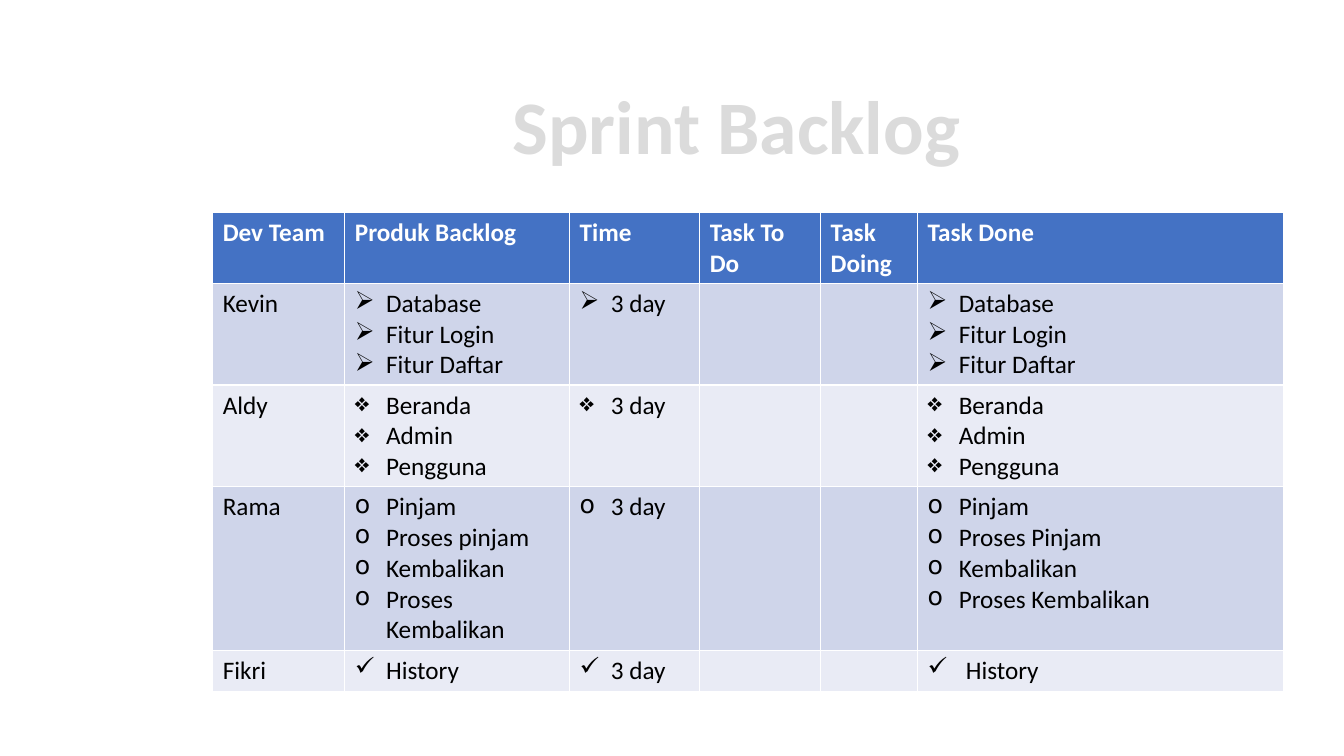
from dataclasses import dataclass
from pptx import Presentation
from pptx import util as u
from pptx.dml import color
from pptx.enum import text
from pptx.oxml import xmlchemy as xc


@dataclass(frozen=True)
class Theme:
    font: str = "Calibri"
    title: int = 54
    body: int = 18
    pale: str = "DBDBDB"
    white: str = "FFFFFF"
    ink: str = "000000"
    head: str = "4472C4"
    bands: tuple = ("CFD5EA", "E9EBF5")


class Page:
    def __init__(self, deck, theme):
        self.theme = theme
        self.slide = deck.slides.add_slide(deck.slide_layouts[5])

    def add_words(self, par, words, size, tint, bold=False):
        run = par.add_run()
        run.text = words
        font = run.font
        font.name, font.size, font.bold = self.theme.font, u.Pt(size), bold
        font.color.rgb = color.RGBColor.from_string(tint)

    def title(self, words, left, top, width, height):
        box = self.slide.shapes.title
        box.left, box.top = u.Inches(left), u.Inches(top)
        box.width, box.height = u.Inches(width), u.Inches(height)
        frame = box.text_frame
        frame.word_wrap = False
        frame.auto_size = text.MSO_AUTO_SIZE.SHAPE_TO_FIT_TEXT
        frame.vertical_anchor = text.MSO_ANCHOR.TOP
        par = frame.paragraphs[0]
        par.alignment = text.PP_ALIGN.CENTER
        self.add_words(par, words, self.theme.title, self.theme.pale, True)

    def bullet(self, par, mark, indent):
        props = par._p.get_or_add_pPr()
        props.set("marL", str(u.Inches(indent)))
        props.set("indent", str(-u.Inches(indent)))
        sign = xc.OxmlElement("a:buChar")
        sign.set("char", mark)
        props.append(sign)

    def cell(self, cell, lines, fill, tint, bold=False, mark=None, indent=0.31):
        cell.fill.solid()
        cell.fill.fore_color.rgb = color.RGBColor.from_string(fill)
        frame = cell.text_frame
        for i, line in enumerate(lines):
            par = frame.add_paragraph() if i else frame.paragraphs[0]
            if mark:
                self.bullet(par, mark, indent)
            self.add_words(par, line, self.theme.body, tint, bold)

    def table(self, left, top, widths, heights):
        grid = self.slide.shapes.add_table(
            len(heights), len(widths), u.Inches(left), u.Inches(top),
            u.Inches(sum(widths)), u.Inches(sum(heights))).table
        for col, width in zip(grid.columns, widths):
            col.width = u.Inches(width)
        for row, height in zip(grid.rows, heights):
            row.height = u.Inches(height)
        return grid


HEADS = ["Dev Team", "Produk Backlog", "Time", "Task To Do", "Task Doing", "Task Done"]
# Member, bullet, backlog, done, indent of the done list
TEAM = [
    ("Kevin", "➢", ["Database", "Fitur Login", "Fitur Daftar"],
     ["Database", "Fitur Login", "Fitur Daftar"], 0.31),
    ("Aldy", "❖", ["Beranda", "Admin", "Pengguna"],
     ["Beranda", "Admin", "Pengguna"], 0.31),
    ("Rama", "o", ["Pinjam", "Proses pinjam", "Kembalikan", "Proses Kembalikan"],
     ["Pinjam", "Proses Pinjam", "Kembalikan", "Proses Kembalikan"], 0.31),
    ("Fikri", "✓", ["History"], ["History"], 0.38),
]


def main():
    deck = Presentation()
    deck.slide_width, deck.slide_height = u.Inches(13.33), u.Inches(7.5)
    theme = Theme()
    page = Page(deck, theme)

    # Title
    page.title("Sprint Backlog", 4.58, 0.73, 5.45, 1.01)

    # Table header
    grid = page.table(2.11, 2.11, [1.31, 2.23, 1.29, 1.2, 0.96, 3.63],
                      [0.7, 1.01, 1.01, 1.62, 0.41])
    for col, head in enumerate(HEADS):
        page.cell(grid.cell(0, col), [head], theme.head, theme.white, True)

    # One row per member
    for row, (name, mark, tasks, done, indent) in enumerate(TEAM, 1):
        fill = theme.bands[(row - 1) % 2]
        page.cell(grid.cell(row, 0), [name], fill, theme.ink)
        for col, lines in enumerate([tasks, ["3 day"], [], []], 1):
            page.cell(grid.cell(row, col), lines, fill, theme.ink, mark=mark)
        page.cell(grid.cell(row, 5), done, fill, theme.ink, mark=mark, indent=indent)

    deck.save("out.pptx")


if __name__ == "__main__":
    main()
